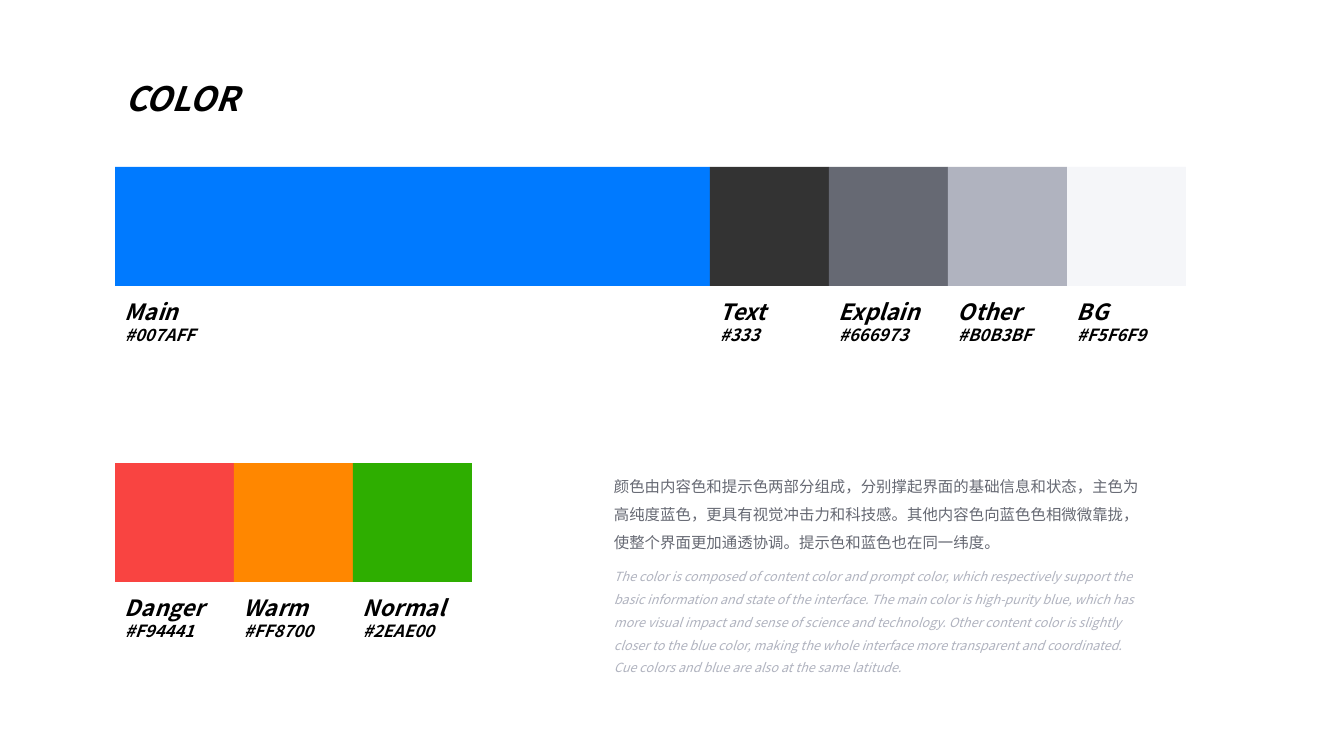
"""Build the COLOR palette slide with swatches, labels and a description."""
from lxml import etree
from pptx import Presentation
from pptx.dml.color import RGBColor
from pptx.enum.shapes import MSO_SHAPE
from pptx.enum.text import MSO_ANCHOR, MSO_AUTO_SIZE, PP_ALIGN
from pptx.oxml.ns import qn
from pptx.util import Pt

RECTANGLE = MSO_SHAPE.RECTANGLE
TOP = MSO_ANCHOR.TOP
NO_FIT = MSO_AUTO_SIZE.NONE
LEFT_ALIGN = PP_ALIGN.LEFT

FONT = "Noto Sans CJK SC"
BLACK = RGBColor(0x00, 0x00, 0x00)
MAIN = RGBColor(0x00, 0x7A, 0xFF)
TEXT = RGBColor(0x33, 0x33, 0x33)
EXPLAIN = RGBColor(0x66, 0x69, 0x73)
OTHER = RGBColor(0xB0, 0xB3, 0xBF)
BACKGROUND = RGBColor(0xF5, 0xF6, 0xF9)
DANGER = RGBColor(0xF9, 0x44, 0x41)
WARM = RGBColor(0xFF, 0x87, 0x00)
NORMAL = RGBColor(0x2E, 0xAE, 0x00)

TITLE = "COLOR"
PALETTES = [
    (167, [
        ("Main", "#007AFF", MAIN, 5),
        ("Text", "#333", TEXT, 1),
        ("Explain", "#666973", EXPLAIN, 1),
        ("Other", "#B0B3BF", OTHER, 1),
        ("BG", "#F5F6F9", BACKGROUND, 1),
    ]),
    (463, [
        ("Danger", "#F94441", DANGER, 1),
        ("Warm", "#FF8700", WARM, 1),
        ("Normal", "#2EAE00", NORMAL, 1),
    ]),
]
CHINESE = (
    "颜色由内容色和提示色两部分组成，分别撑起界面的基础信息和状态，主色为"
    "高纯度蓝色，更具有视觉冲击力和科技感。其他内容色向蓝色色相微微靠拢，"
    "使整个界面更加通透协调。提示色和蓝色也在同一纬度。"
)
ENGLISH = (
    "The color is composed of content color and prompt color, which respectively "
    "support the basic information and state of the interface. The main color is "
    "high-purity blue, which has more visual impact and sense of science and "
    "technology. Other content color is slightly closer to the blue color, making "
    "the whole interface more transparent and coordinated. Cue colors and blue are "
    "also at the same latitude."
)

LEFT = 115
SIDE = 119
LABEL_OFFSET = 126
LABEL_HEIGHT = 57


def px(*lengths):
    return [round(length * 914400 / 100.8) for length in lengths]


def add_run(paragraph, text, size, color, bold=False, italic=False):
    run = paragraph.add_run()
    run.text = text
    font = run.font
    font.name, font.size, font.bold, font.italic = FONT, Pt(size), bold, italic
    font.color.rgb = color
    east_asian = etree.SubElement(run._r.get_or_add_rPr(), qn("a:ea"))
    east_asian.set("typeface", FONT)


def fill_frame(frame, lines, spacing=None, after=None):
    frame.word_wrap = True
    frame.auto_size = NO_FIT
    frame.vertical_anchor = TOP
    for index, line in enumerate(lines):
        paragraph = frame.add_paragraph() if index else frame.paragraphs[0]
        paragraph.alignment = LEFT_ALIGN
        if spacing:
            paragraph.line_spacing = spacing
            paragraph.space_after = Pt(after)
        add_run(paragraph, *line)


def add_swatch(slide, left, top, width, color):
    swatch = slide.shapes.add_shape(RECTANGLE, *px(left, top, width, SIDE))
    swatch.shadow.inherit = False
    swatch.fill.solid()
    swatch.fill.fore_color.rgb = color
    swatch.line.fill.background()


def add_text(slide, box, lines, spacing=None, after=None):
    text_box = slide.shapes.add_textbox(*px(*box))
    fill_frame(text_box.text_frame, lines, spacing, after)


presentation = Presentation()
presentation.slide_width, presentation.slide_height = px(1344, 756)
slide = presentation.slides.add_slide(presentation.slide_layouts[5])

title = slide.shapes.title
title.left, title.top, title.width, title.height = px(LEFT, 73, 1229, 50)
fill_frame(title.text_frame, [(TITLE, 24, BLACK, True, True)])

for top, swatches in PALETTES:
    left = LEFT
    for name, code, color, units in swatches:
        width = units * SIDE
        add_swatch(slide, left, top, width, color)
        add_text(slide, (left, top + LABEL_OFFSET, width, LABEL_HEIGHT), [
            (name, 16, BLACK, True, True),
            (code, 12, BLACK, True, True),
        ])
        left += width

add_text(slide, (604, 463, 549, 218), [
    (CHINESE, 11, EXPLAIN),
    (ENGLISH, 9, OTHER, False, True),
], 1.5, 7.5)

presentation.save("out.pptx")
